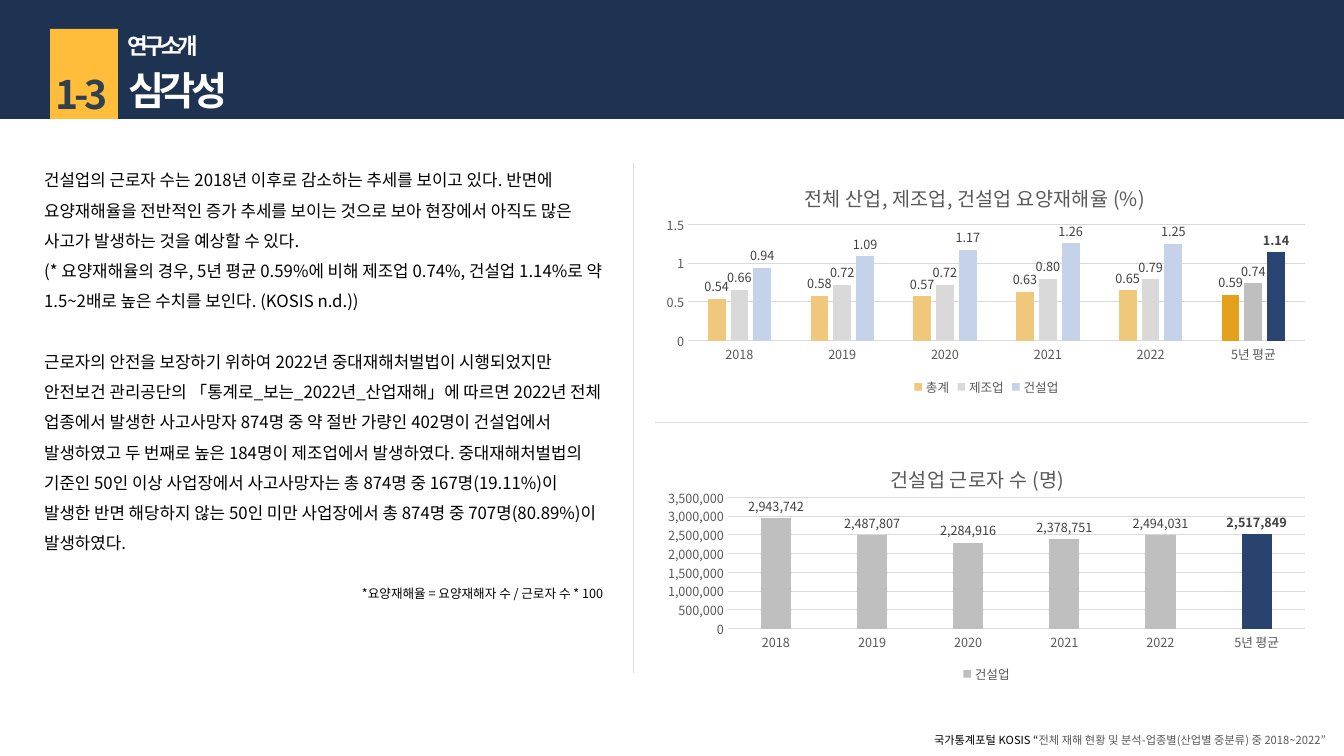
from lxml.etree import SubElement
from pptx import Presentation
from pptx.chart.data import CategoryChartData
from pptx.dml.color import RGBColor
from pptx.enum.chart import XL_CHART_TYPE as ChartType, XL_LABEL_POSITION as LabelPos
from pptx.enum.chart import XL_LEGEND_POSITION as LegendPos, XL_TICK_MARK as Tick
from pptx.enum.shapes import MSO_CONNECTOR as Connector, MSO_SHAPE as Preset
from pptx.enum.text import MSO_ANCHOR as Anchor, MSO_AUTO_SIZE as AutoSize, PP_ALIGN as Align
from pptx.oxml import parse_xml
from pptx.oxml.ns import nsdecls, qn
from pptx.util import Pt

FONT = "Noto Sans CJK KR"
COLORS = {
    "navy": "1E3252", "amber": "FFBD3B", "badge": "30404F", "white": "FFFFFF",
    "black": "000000", "source": "585858", "axis": "595959", "label": "404040",
    "rule": "D9D9D9", "total": "EFC87B", "total_avg": "E3A01B",
    "making": "D9D9D9", "gray": "BFBFBF", "building": "C5D3EA",
    "building_avg": "294471", "workers_avg": "28436E",
}
PERIODS = ["2018", "2019", "2020", "2021", "2022", "5년 평균"]
RATES = [
    ("총계", [0.54, 0.58, 0.57, 0.63, 0.65, 0.59], "total", "total_avg"),
    ("제조업", [0.66, 0.72, 0.72, 0.8, 0.79, 0.74], "making", "gray"),
    ("건설업", [0.94, 1.09, 1.17, 1.26, 1.25, 1.14], "building", "building_avg"),
]
WORKERS = [
    ("건설업", [2943742, 2487807, 2284916, 2378751, 2494031, 2517849], "gray", "workers_avg"),
]
BODY = [
    "건설업의 근로자 수는 2018년 이후로 감소하는 추세를 보이고 있다. 반면에 요양재해율을 전반적인 증가 추세를 보이는 것으로 보아 현장에서 아직도 많은 사고가 발생하는 것을 예상할 수 있다.",
    "(* 요양재해율의 경우, 5년 평균 0.59%에 비해 제조업 0.74%, 건설업 1.14%로 약 1.5~2배로 높은 수치를 보인다. (KOSIS n.d.))",
    "근로자의 안전을 보장하기 위하여 2022년 중대재해처벌법이 시행되었지만 안전보건 관리공단의 「통계로_보는_2022년_산업재해」에 따르면 2022년 전체 업종에서 발생한 사고사망자 874명 중 약 절반 가량인 402명이 건설업에서 발생하였고 두 번째로 높은 184명이 제조업에서 발생하였다. 중대재해처벌법의 기준인 50인 이상 사업장에서 사고사망자는 총 874명 중 167명(19.11%)이 발생한 반면 해당하지 않는 50인 미만 사업장에서 총 874명 중 707명(80.89%)이 발생하였다.",
]


def px(length):
    return round(length * 12192000 / 1344)


def rgb(color):
    return RGBColor.from_string(COLORS[color])


def apply(target, values):
    for key, value in values.items():
        setattr(target, key, value)


def style(font, size, color, bold=False):
    apply(font, {"name": FONT, "size": Pt(size), "bold": bold})
    font.color.rgb = rgb(color)


def place(shape, box):
    apply(shape, dict(zip(("left", "top", "width", "height"), map(px, box))))


def write(paragraph, text, size, color, bold=False, tracking=0):
    run = paragraph.add_run()
    run.text = text
    style(run.font, size, color, bold)
    if tracking:
        run.font._element.set("spc", str(tracking))


def prepare(shape, align):
    frame = shape.text_frame
    apply(frame, {"word_wrap": True, "auto_size": AutoSize.NONE, "vertical_anchor": Anchor.TOP})
    frame.paragraphs[0].alignment = align
    return frame.paragraphs[0]


def add_text(slide, box, runs, align=Align.LEFT):
    line = prepare(slide.shapes.add_textbox(*map(px, box)), align)
    for run in runs:
        write(line, *run)


def add_block(slide, box, color):
    block = slide.shapes.add_shape(Preset.RECTANGLE, *map(px, box))
    block.shadow.inherit = False
    block.fill.solid()
    block.fill.fore_color.rgb = rgb(color)
    block.line.fill.background()


def add_rule(slide, *ends):
    rule = slide.shapes.add_connector(Connector.STRAIGHT, *map(px, ends))
    rule.line.color.rgb = rgb("rule")
    rule.line.width = Pt(0.5)
    SubElement(rule.element.spPr, qn("a:effectLst"))


def fill_body(body):
    place(body, (34, 155, 580, 403))
    prepare(body, Align.LEFT)
    for index, text in enumerate(BODY):
        frame = body.text_frame
        paragraph = frame.add_paragraph() if index else frame.paragraphs[0]
        props = paragraph._p.get_or_add_pPr()
        apply_indent = {"marL": "0", "indent": "0"}
        for key, value in apply_indent.items():
            props.set(key, value)
        SubElement(props, qn("a:buNone"))
        apply(paragraph, {"alignment": Align.LEFT, "line_spacing": Pt(21.6),
                          "space_before": Pt(21.6 if index == 2 else 0)})
        write(paragraph, text, 12, "black")


def manual_layout(x, y, w=None, h=None):
    target = '<c:layoutTarget val="inner"/>' if w else ""
    size = f'<c:w val="{w}"/><c:h val="{h}"/>' if w else ""
    return parse_xml(
        f'<c:layout {nsdecls("c")}><c:manualLayout>{target}<c:xMode val="edge"/>'
        f'<c:yMode val="edge"/><c:x val="{x}"/><c:y val="{y}"/>{size}'
        "</c:manualLayout></c:layout>")


def set_layout(parent, layout, after=None):
    for old in parent.findall(qn("c:layout")):
        parent.remove(old)
    if after is None:
        parent.insert(0, layout)
    else:
        after.addnext(layout)


def style_axes(chart, top, step, axis_format):
    values, periods = chart.value_axis, chart.category_axis
    for axis in (values, periods):
        apply(axis, {"major_tick_mark": Tick.NONE, "minor_tick_mark": Tick.NONE})
        style(axis.tick_labels.font, 9, "axis")
    apply(values, {"minimum_scale": 0, "maximum_scale": top, "major_unit": step})
    apply(values.tick_labels, {"number_format": axis_format, "number_format_is_linked": False})
    values.format.line.fill.background()
    for line in (values.major_gridlines.format.line, periods.format.line):
        line.color.rgb = rgb("rule")
        line.width = Pt(0.75)


def style_series(series, color, average_color, label_format):
    series.format.fill.solid()
    series.format.fill.fore_color.rgb = rgb(color)
    average = series.points[len(PERIODS) - 1]
    average.format.fill.solid()
    average.format.fill.fore_color.rgb = rgb(average_color)
    labels = series.data_labels
    apply(labels, {"show_value": True, "position": LabelPos.OUTSIDE_END,
                   "number_format": label_format, "number_format_is_linked": False})
    style(labels.font, 9, "label")
    if series.name == "건설업":
        style(average.data_label.font, 9, "label", True)
        average.data_label.position = LabelPos.OUTSIDE_END


def add_columns(slide, box, title, rows, label_format, axis, title_at, plot_at):
    data = CategoryChartData(number_format=label_format)
    data.categories = PERIODS
    for name, values, *_ in rows:
        data.add_series(name, values)
    chart = slide.shapes.add_chart(ChartType.COLUMN_CLUSTERED, *map(px, box), data).chart
    style(chart.font, 10, "black")
    write(chart.chart_title.text_frame.paragraphs[0], title, 14, "axis")
    chart.chart_title.include_in_layout = False
    heading = chart.chart_title._element
    set_layout(heading, manual_layout(*title_at), heading.find(qn("c:tx")))
    set_layout(chart.element.find(".//" + qn("c:plotArea")), manual_layout(*plot_at))
    chart.has_legend = True
    apply(chart.legend, {"position": LegendPos.BOTTOM, "include_in_layout": False})
    style(chart.legend.font, 9, "axis")
    style_axes(chart, *axis)
    plot = chart.plots[0]
    apply(plot, {"gap_width": 219, "overlap": -27, "vary_by_categories": False})
    for series, (_, _, color, average_color) in zip(plot.series, rows):
        style_series(series, color, average_color, label_format)
    add_asian_font(chart.element)


def add_asian_font(root):
    for latin in list(root.iter(qn("a:latin"))):
        latin.addnext(parse_xml(f'<a:ea {nsdecls("a")} typeface="{FONT}"/>'))


def main():
    deck = Presentation()
    apply(deck, {"slide_width": px(1344), "slide_height": px(756)})
    slide = deck.slides.add_slide(deck.slide_layouts[1])
    title, body = slide.placeholders
    fill_body(body)
    add_text(slide, (856, 728, 480, 24), [
        ("국가통계포털 KOSIS “", 8, "black"),
        ("전체 재해 현황 및 분석-업종별(산업별 중분류) 중 2018~2022”", 8, "source")], Align.RIGHT)
    add_text(slide, (255, 581, 358, 25),
             [("*요양재해율 = 요양재해자 수 / 근로자 수 * 100", 9, "black")], Align.RIGHT)
    add_columns(slide, (655, 163, 663, 237), "전체 산업, 제조업, 건설업 요양재해율 (%)", RATES,
                "#,##0.00", (1.5, 0.5, "General"), (0.22, 0.06), (0.05, 0.26, 0.93, 0.49))
    add_columns(slide, (655, 444, 663, 243), "건설업 근로자 수 (명)", WORKERS,
                "#,##0", (3500000, 500000, "#,##0"), (0.35, 0.06), (0.11, 0.22, 0.87, 0.54))
    add_block(slide, (0, 0, 1344, 119), "navy")
    add_block(slide, (50, 29, 68, 90), "amber")
    slide.shapes.element.append(title.element)
    place(title, (118, 61, 554, 58))
    write(prepare(title, Align.LEFT), "심각성", 28, "white", True, -300)
    add_text(slide, (118, 27, 554, 37), [("연구 소개", 16, "white", True, -300)])
    add_text(slide, (38, 65, 87, 57), [("1-3", 28, "badge", True, -300)], Align.CENTER)
    add_rule(slide, 633, 163, 633, 673)
    add_rule(slide, 655, 422, 1308, 422)
    add_asian_font(slide.shapes.element)
    deck.save("out.pptx")


if __name__ == "__main__":
    main()
